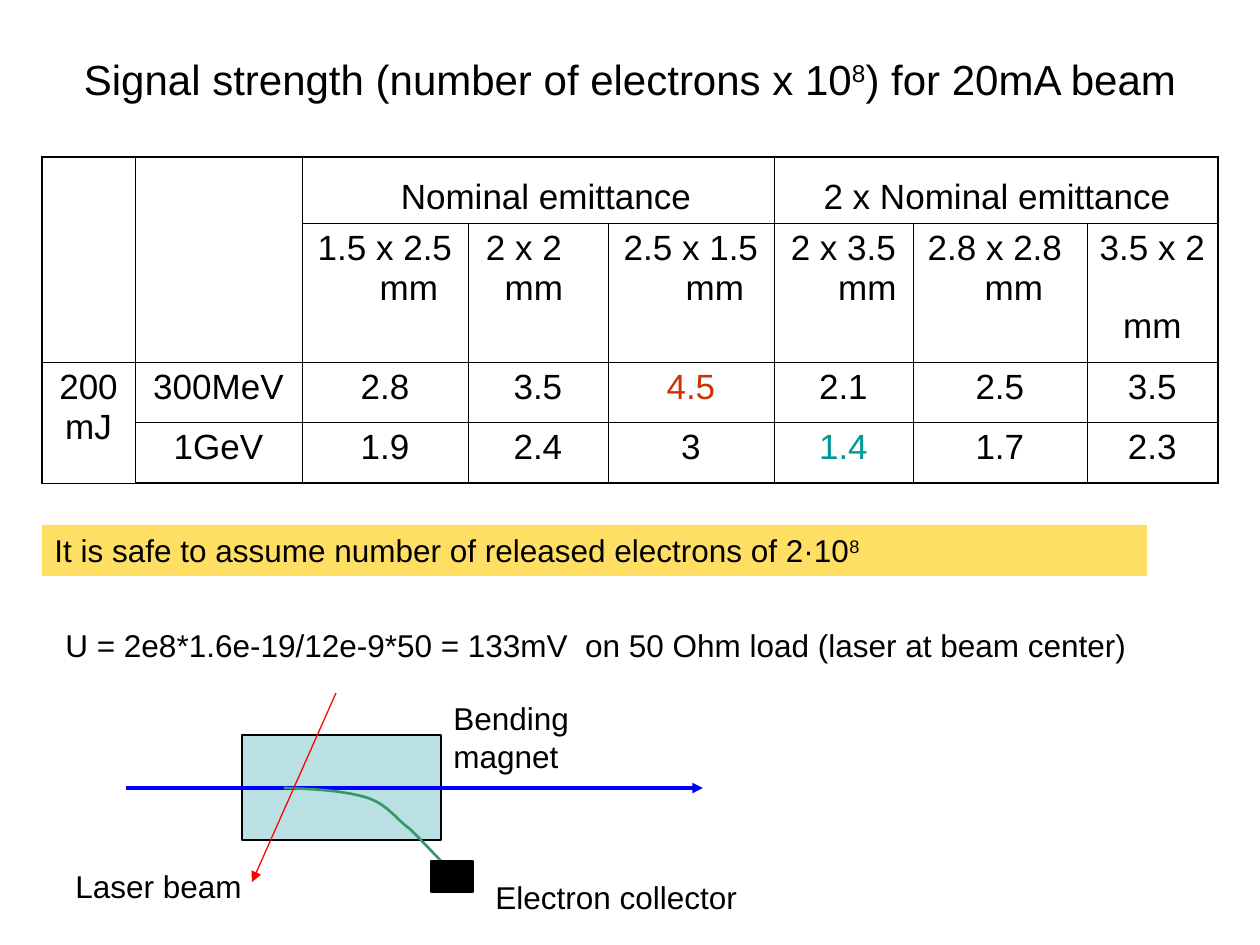
"""Build the slide on signal strength for a 20mA beam."""
from dataclasses import dataclass

from lxml import etree
from pptx import Presentation
from pptx import util as u
from pptx.dml.color import RGBColor
from pptx.enum import shapes, text
from pptx.oxml.ns import qn


@dataclass(frozen=True)
class Theme:
    font: str = "Arial"
    title: int = 24
    table: int = 20
    body: int = 18
    ink: str = "000000"
    high: str = "CC3300"
    low: str = "009999"
    banner: str = "FFCC00"
    magnet: str = "BBE0E3"
    beam: str = "0000FF"
    electrons: str = "339966"
    laser: str = "FF0000"
    thin: float = 0.45
    thick: float = 1.08


THEME = Theme()
SCALE = 914400 / 126
LEFT, CENTER = text.PP_ALIGN.LEFT, text.PP_ALIGN.CENTER

TITLE = ("Signal strength (number of electrons x 10^8^) for 20mA beam", (63, 42, 1134, 73))
BANNER = ("It is safe to assume number of released electrons of 2·10^8", (42, 525, 1105, 51))
HEADINGS = [
    ("Nominal emittance", (315, 168, 462, 56)),
    ("2 x Nominal emittance", (766, 168, 462, 56)),
]
LABELS = [
    ("U = 2e8*1.6e-19/12e-9*50 = 133mV  on 50 Ohm load (laser at beam center)", (53, 620, 1102, 51)),
    ("Laser beam", (63, 861, 231, 51)),
    ("Electron collector", (483, 872, 325, 51)),
    ("Bending magnet", (441, 693, 231, 88)),
]
TABLE_CORNER = (42, 157)
COLUMNS = [93, 167, 166, 140, 166, 139, 174, 131]
ROWS = [66, 139, 60, 61]
MERGES = [((0, 0), (1, 0)), ((0, 1), (1, 1)), ((2, 0), (3, 0))]
GROUPS = [(2, 4), (5, 7)]
SIZES = [
    ("1.5 x 2.5", 0, 48, 0),
    ("2 x 2", 28, 20, 0),
    ("2.5 x 1.5", 0, 48, 0),
    ("2 x 3.5", 0, 48, 0),
    ("2.8 x 2.8", 10, 38, 0),
    ("3.5 x 2", 0, 0, 22),
]
VALUES = [
    ["200 mJ", "300MeV", "2.8", "3.5", "4.5", "2.1", "2.5", "3.5"],
    ["", "1GeV", "1.9", "2.4", "3", "1.4", "1.7", "2.3"],
]
MARKED = {"4.5": THEME.high, "1.4": THEME.low}
MAGNET = (242, 735, 199, 105)
COLLECTOR = (431, 861, 42, 31)
BEAM = ((126, 788), (703, 788))
LASER = ((252, 882), (336, 693))
TRACK = [
    ((284, 788), (315, 789), (347, 791), (368, 798)),
    ((368, 798), (388, 805), (396, 819), (410, 829)),
    ((410, 829), (423, 842), (445, 865), (451, 872)),
]


def px(*lengths):
    return [u.Emu(round(length * SCALE)) for length in lengths]


def color(value):
    return RGBColor.from_string(value)


def write(para, content, size=THEME.body, ink=THEME.ink, align=LEFT, left=0, right=0, before=0):
    """Fill a paragraph; parts between carets are raised."""
    props = para._p.get_or_add_pPr()
    for name, length in (("marL", left), ("marR", right)):
        if length:
            props.set(name, str(px(length)[0]))
    para.alignment = align
    if before:
        para.space_before = u.Pt(before)
    for index, part in enumerate(content.split("^")):
        span = para.add_run()
        span.text = part
        span.font.name, span.font.size = THEME.font, u.Pt(size)
        span.font.color.rgb = color(ink)
        if index % 2:
            span._r.get_or_add_rPr().set("baseline", "30000")


def add_text(page, content, place, anchor=text.MSO_ANCHOR.TOP, **style):
    frame = page.shapes.add_textbox(*px(*place)).text_frame
    frame.word_wrap = True
    frame.vertical_anchor = anchor
    write(frame.paragraphs[0], content, **style)


def add_box(canvas, place, fill, line=None):
    box = canvas.add_shape(shapes.MSO_SHAPE.RECTANGLE, *px(*place))
    box.shadow.inherit = False
    box.fill.solid()
    box.fill.fore_color.rgb = color(fill)
    if line:
        box.line.color.rgb, box.line.width = color(line), u.Pt(0.75)
    else:
        box.line.fill.background()
    return box


def add_arrow(canvas, ends, ink, width, tip):
    (x1, y1), (x2, y2) = ends
    arrow = canvas.add_connector(shapes.MSO_CONNECTOR.STRAIGHT, *px(x1, y1, x2, y2))
    arrow.line.color.rgb, arrow.line.width = color(ink), u.Pt(width)
    etree.SubElement(arrow.line._get_or_add_ln(), qn(f"a:{tip}"), type="triangle")
    etree.SubElement(arrow._element.spPr, qn("a:effectLst"))


def add_track(canvas, curves, ink, width, steps=12):
    points = [curves[0][0]]
    for curve in curves:
        for step in range(1, steps + 1):
            t = step / steps
            weights = ((1 - t) ** 3, 3 * t * (1 - t) ** 2, 3 * t * t * (1 - t), t ** 3)
            points.append(tuple(sum(w * p[axis] for w, p in zip(weights, curve)) for axis in (0, 1)))
    builder = canvas.build_freeform(*px(*points[0]))
    builder.add_line_segments([px(*point) for point in points[1:]], close=False)
    track = builder.convert_to_shape()
    track.shadow.inherit = False
    track.fill.background()
    track.line.color.rgb, track.line.width = color(ink), u.Pt(width)


def set_borders(cell, row, column):
    outer = {"L": column == 0, "R": column == len(COLUMNS) - 1, "T": row == 0, "B": row == len(ROWS) - 1}
    hidden = set()
    if row == 0:
        for first, last in GROUPS:
            hidden |= {"L"} if first < column <= last else set()
            hidden |= {"R"} if first <= column < last else set()
    props = cell._tc.get_or_add_tcPr()
    for side, thick in outer.items():
        width = u.Pt(THEME.thick if thick else THEME.thin)
        line = etree.SubElement(props, qn(f"a:ln{side}"), w=str(width))
        if side in hidden:
            etree.SubElement(line, qn("a:noFill"))
        else:
            fill = etree.SubElement(line, qn("a:solidFill"))
            etree.SubElement(fill, qn("a:srgbClr"), val=THEME.ink)
    cell.fill.background()


def add_signal_table(page):
    place = px(*TABLE_CORNER, sum(COLUMNS), sum(ROWS))
    table = page.shapes.add_table(len(ROWS), len(COLUMNS), *place).table
    table.first_row = table.horz_banding = False
    for column, width in zip(table.columns, px(*COLUMNS)):
        column.width = width
    for row, height in zip(table.rows, px(*ROWS)):
        row.height = height
    for row in range(len(ROWS)):
        for column in range(len(COLUMNS)):
            set_borders(table.cell(row, column), row, column)
    for start, end in MERGES:
        table.cell(*start).merge(table.cell(*end))
    style = {"size": THEME.table, "align": CENTER}
    for column, (size, right, left, before) in enumerate(SIZES, 2):
        frame = table.cell(1, column).text_frame
        write(frame.paragraphs[0], size, right=right, **style)
        write(frame.add_paragraph(), "mm", left=left, before=before, **style)
    for row, values in enumerate(VALUES, 2):
        for column, value in enumerate(values):
            if value:
                para = table.cell(row, column).text_frame.paragraphs[0]
                write(para, value, ink=MARKED.get(value, THEME.ink), **style)


def add_banner(page):
    content, place = BANNER
    box = add_box(page.shapes, place, THEME.banner)
    tint = box._element.spPr.find(qn("a:solidFill")).find(qn("a:srgbClr"))
    etree.SubElement(tint, qn("a:alpha"), val="61000")
    box.text_frame.word_wrap = True
    box.text_frame.vertical_anchor = text.MSO_ANCHOR.TOP
    write(box.text_frame.paragraphs[0], content)


def main():
    deck = Presentation()
    deck.slide_width, deck.slide_height = px(1260, 945)
    page = deck.slides.add_slide(deck.slide_layouts[6])
    add_text(page, *TITLE, anchor=text.MSO_ANCHOR.MIDDLE, size=THEME.title, align=CENTER)
    add_signal_table(page)
    for heading in HEADINGS:
        add_text(page, *heading, size=THEME.table, align=CENTER)
    add_banner(page)
    diagram = page.shapes.add_group_shape().shapes
    add_box(diagram, MAGNET, THEME.magnet, THEME.ink)
    add_arrow(diagram, BEAM, THEME.beam, 2, "tailEnd")
    add_track(diagram, TRACK, THEME.electrons, 1.5)
    add_box(diagram, COLLECTOR, THEME.ink, THEME.ink)
    add_arrow(page.shapes, LASER, THEME.laser, 0.75, "headEnd")
    for label in LABELS:
        add_text(page, *label)
    deck.save("out.pptx")


if __name__ == "__main__":
    main()
